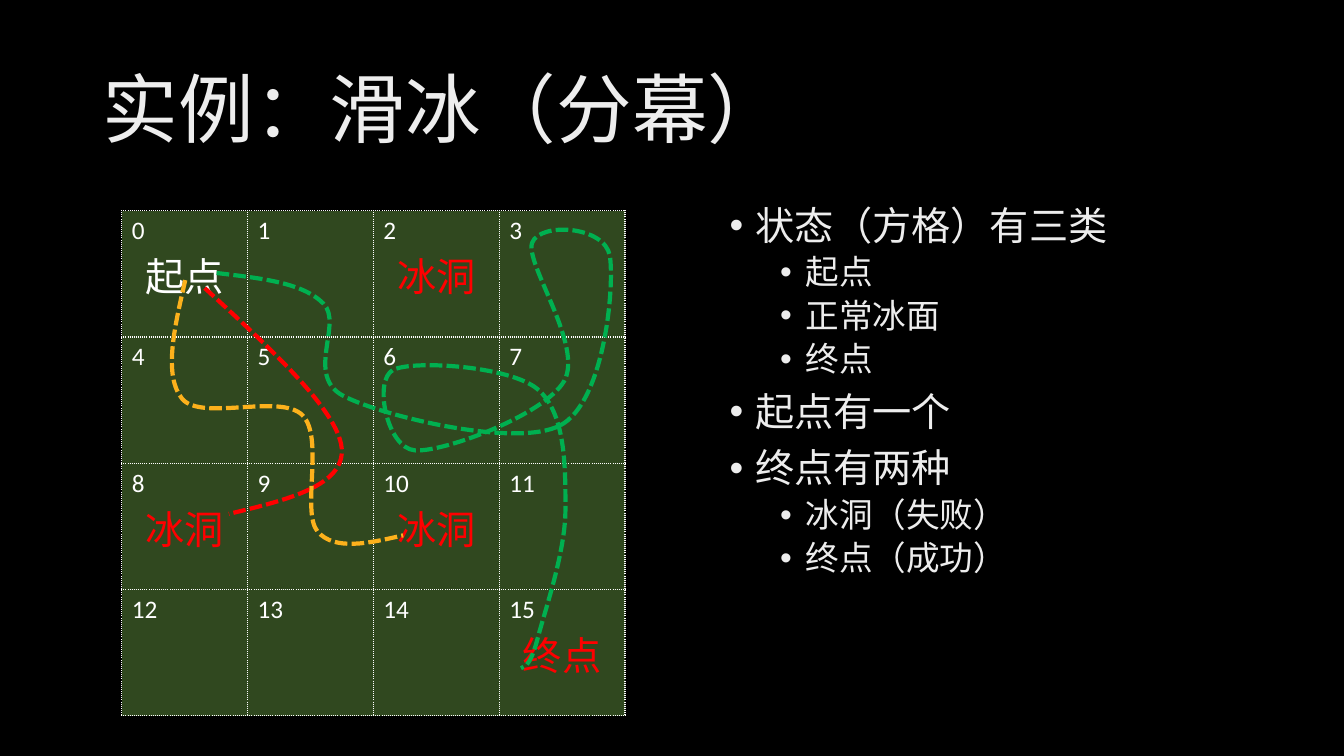
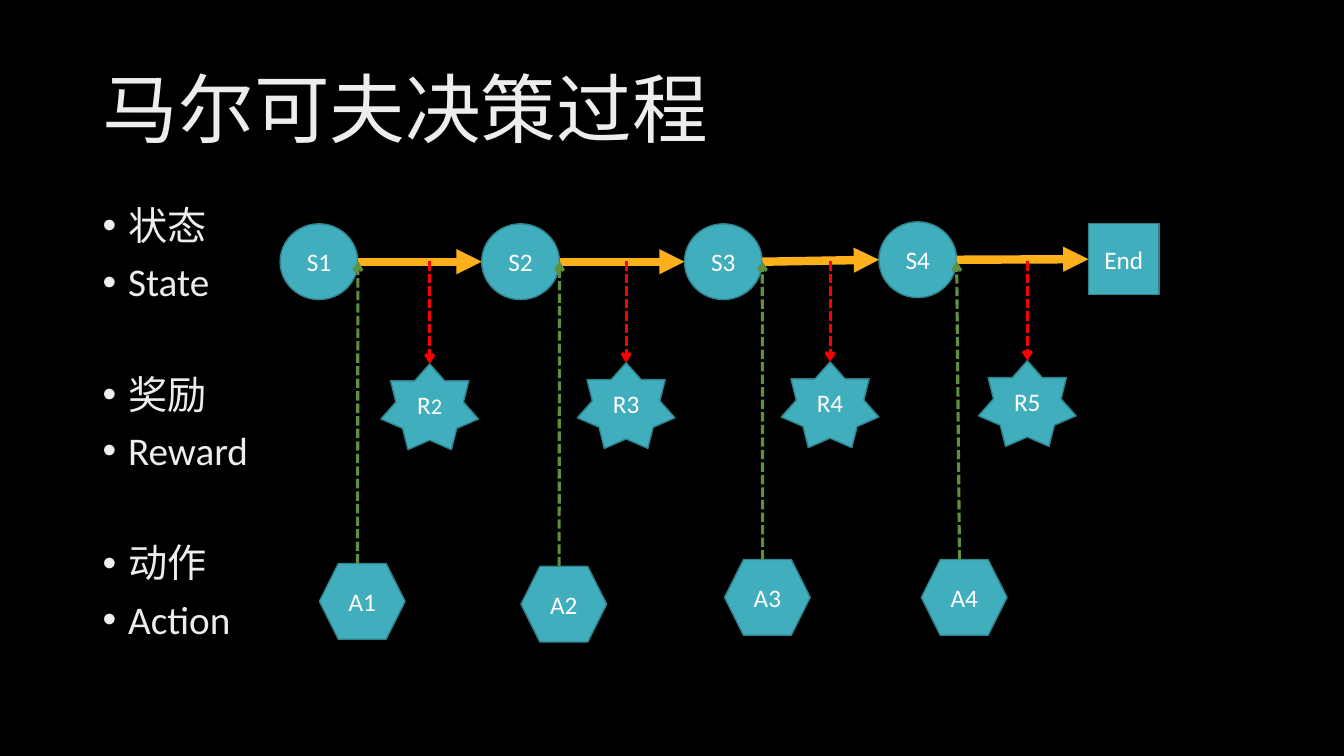
from lxml.etree import SubElement
from pptx import Presentation
from pptx.dml.color import RGBColor
from pptx.enum.dml import MSO_LINE
from pptx.enum.shapes import MSO_CONNECTOR, MSO_SHAPE
from pptx.enum.text import MSO_ANCHOR, MSO_AUTO_SIZE, PP_ALIGN
from pptx.oxml.ns import qn
from pptx.util import Cm, Pt

FONT = "Calibri"
COLORS = {
    "background": "000000",
    "text": "EDEDED",
    "white": "FFFFFF",
    "red": "FF0000",
    "orange": "FCB11C",
    "green": "00B050",
    "olive": "608F3D",
    "ice": "30481F",
    "node": "41AEBD",
    "node_line": "30818C",
}
TITLE_ONLY = 5
GRID_SIZE = 4
BULLET_SIZES = (28, 24)
BULLET_SPACES = (10, 5)
GROUP_SPACE = 50

LANDMARKS = {
    0: ("起点", "white"),
    2: ("冰洞", "red"),
    8: ("冰洞", "red"),
    10: ("冰洞", "red"),
    15: ("终点", "red"),
}

# Each route is a start point followed by triples of Bézier points, in cm.
ROUTES = {
    "red": [
        (5.16, 7.26),
        (6.83, 8.79), (8.51, 10.34), (8.61, 11.28),
        (8.71, 12.24), (7.24, 12.6), (5.77, 12.95),
    ],
    "orange": [
        (4.67, 7.06),
        (4.39, 8.28), (4.11, 9.47), (4.6, 10.06),
        (5.11, 10.62), (7.06, 9.91), (7.62, 10.46),
        (8.18, 11.02), (7.59, 12.88), (8, 13.39),
        (8.43, 13.89), (9.3, 13.69), (10.16, 13.49),
    ],
    "green": [
        (5.46, 6.88),
        (6.53, 7.01), (7.62, 7.11), (8.15, 7.65),
        (8.66, 8.15), (7.67, 9.47), (8.66, 9.98),
        (9.65, 10.49), (13, 11.3), (14.12, 10.72),
        (15.24, 10.13), (15.49, 7.21), (15.37, 6.45),
        (15.24, 5.69), (13.61, 5.59), (13.41, 6.12),
        (13.23, 6.65), (14.71, 8.71), (14.22, 9.6),
        (13.72, 10.46), (11.18, 11.4), (10.46, 11.35),
        (9.75, 11.3), (9.4, 9.58), (9.91, 9.32),
        (10.41, 9.07), (12.83, 9.22), (13.54, 9.8),
        (14.27, 10.41), (14.25, 11.81), (14.25, 12.85),
        (14.25, 13.89), (13.74, 15.37), (13.56, 16.05),
        (13.39, 16.71), (13.26, 16.79), (13.13, 16.84),
    ],
}

# Left and top of each node, in cm.
STATES = [(7.06, 5.64), (12.14, 5.64), (17.25, 5.64), (22.15, 5.59)]
REWARDS = [(9.6, 9.17), (14.55, 9.14), (19.69, 9.12), (24.66, 9.09)]
ACTIONS = [(8.05, 14.2), (13.13, 14.27), (18.26, 14.1), (23.22, 14.1)]
FLOW_Y = Cm(6.58)


def rgb(name):
    return RGBColor.from_string(COLORS[name])


def write(paragraph, text, *, size=18, color="white", align=PP_ALIGN.LEFT,
          line_spacing=None, space_before=None):
    """Append a run to the paragraph and format both."""
    paragraph.alignment = align
    if line_spacing is not None:
        paragraph.line_spacing = line_spacing
    if space_before is not None:
        paragraph.space_before = Pt(space_before)
    run = paragraph.add_run()
    run.text = text
    run.font.name = FONT
    run.font.size = Pt(size)
    run.font.color.rgb = rgb(color)


def add_titled_slide(presentation, title):
    slide = presentation.slides.add_slide(presentation.slide_layouts[TITLE_ONLY])
    shape = slide.shapes.title
    shape.left, shape.top = Cm(2.34), Cm(1.02)
    shape.width, shape.height = Cm(29.21), Cm(3.68)
    frame = shape.text_frame
    frame.auto_size = MSO_AUTO_SIZE.NONE
    frame.vertical_anchor = MSO_ANCHOR.MIDDLE
    write(frame.paragraphs[0], title, size=54, color="text", line_spacing=0.9)
    return slide


def set_bullet(paragraph, level):
    properties = paragraph._p.get_or_add_pPr()
    properties.set("marL", str(Cm(0.64 + 1.27 * level)))
    properties.set("indent", str(-Cm(0.64)))
    if level:
        properties.set("lvl", str(level))
    SubElement(properties, qn("a:buFont"), typeface="Arial")
    SubElement(properties, qn("a:buChar"), char="•")


def add_bullets(slide, left, width, groups, group_space=BULLET_SPACES[0]):
    """Add groups of (level, text) items, with group_space between groups."""
    box = slide.shapes.add_textbox(Cm(left), Cm(5.08), Cm(width), Cm(12.09))
    frame = box.text_frame
    frame.word_wrap = True
    paragraph = None
    for group in groups:
        for position, (level, text) in enumerate(group):
            if paragraph is None:
                paragraph, space = frame.paragraphs[0], 0
            else:
                paragraph = frame.add_paragraph()
                space = BULLET_SPACES[level] if position else group_space
            set_bullet(paragraph, level)
            write(paragraph, text, size=BULLET_SIZES[level], color="text",
                  line_spacing=0.9, space_before=space)


def set_dotted_borders(cell):
    properties = cell._tc.get_or_add_tcPr()
    for index, side in enumerate(("lnL", "lnR", "lnT", "lnB")):
        line = SubElement(properties, qn(f"a:{side}"), w=str(Pt(1)))
        fill = SubElement(line, qn("a:solidFill"))
        SubElement(fill, qn("a:srgbClr"), val=COLORS["white"])
        SubElement(line, qn("a:prstDash"), val="sysDot")
        properties.insert(index, line)


def add_ice_grid(slide):
    side = Cm(3.17)
    table = slide.shapes.add_table(
        GRID_SIZE, GRID_SIZE, Cm(3.07), Cm(5.31),
        side * GRID_SIZE, Cm(3.18) * GRID_SIZE).table
    table.first_row = table.horz_banding = False
    for number in range(GRID_SIZE ** 2):
        cell = table.cell(*divmod(number, GRID_SIZE))
        cell.fill.solid()
        cell.fill.fore_color.rgb = rgb("ice")
        set_dotted_borders(cell)
        frame = cell.text_frame
        write(frame.paragraphs[0], str(number))
        if number in LANDMARKS:
            label, color = LANDMARKS[number]
            write(frame.add_paragraph(), label, size=28, color=color,
                  align=PP_ALIGN.CENTER)


def add_route(slide, color, points):
    """Draw a dashed open curve through Bézier points."""
    start, *rest = [(Cm(x), Cm(y)) for x, y in points]
    builder = slide.shapes.build_freeform(*start)
    builder.add_line_segments(rest, close=False)
    shape = builder.convert_to_shape()
    shape.shadow.inherit = False
    shape.fill.background()
    shape.line.color.rgb = rgb(color)
    shape.line.width = Pt(3)
    shape.line.dash_style = MSO_LINE.SQUARE_DOT
    outline = next(shape._element.iter(qn("a:path")))
    segments = outline.findall(qn("a:lnTo"))
    for index in range(0, len(segments), 3):
        curve = SubElement(outline, qn("a:cubicBezTo"))
        for segment in segments[index:index + 3]:
            curve.append(segment[0])
            outline.remove(segment)


def add_node(slide, preset, position, size, label, suffix=""):
    """Add a labelled node; a suffix is set slightly smaller."""
    left, top = position
    width, height = size
    shape = slide.shapes.add_shape(
        preset, Cm(left), Cm(top), Cm(width), Cm(height))
    shape.shadow.inherit = False
    shape.fill.solid()
    shape.fill.fore_color.rgb = rgb("node")
    shape.line.color.rgb = rgb("node_line")
    shape.line.width = Pt(1)
    frame = shape.text_frame
    frame.vertical_anchor = MSO_ANCHOR.MIDDLE
    write(frame.paragraphs[0], label, align=PP_ALIGN.CENTER)
    if suffix:
        write(frame.paragraphs[0], suffix, size=16, align=PP_ALIGN.CENTER)
    return shape


def add_arrow(slide, start, end, color, *, width=2.25, dashed=True, head="arrow"):
    connector = slide.shapes.add_connector(MSO_CONNECTOR.STRAIGHT, *start, *end)
    SubElement(connector._element.spPr, qn("a:effectLst"))
    line = connector.line
    line.color.rgb = rgb(color)
    line.width = Pt(width)
    if dashed:
        line.dash_style = MSO_LINE.SQUARE_DOT
    SubElement(line._get_or_add_ln(), qn("a:tailEnd"), type=head)


def middle_y(shape):
    return shape.top + shape.height // 2


def add_skating_slide(presentation):
    slide = add_titled_slide(presentation, "实例：滑冰（分幕）")
    add_bullets(slide, 18.14, 13.41, [
        [(0, "状态（方格）有三类"), (1, "起点"), (1, "正常冰面"), (1, "终点")],
        [(0, "起点有一个")],
        [(0, "终点有两种"), (1, "冰洞（失败）"), (1, "终点（成功）")],
    ])
    add_ice_grid(slide)
    for color, points in ROUTES.items():
        add_route(slide, color, points)


def add_decision_slide(presentation):
    slide = add_titled_slide(presentation, "马尔可夫决策过程")
    add_bullets(slide, 2.34, 4.29, [
        [(0, "状态"), (0, "State")],
        [(0, "奖励"), (0, "Reward")],
        [(0, "动作"), (0, "Action")],
    ], group_space=GROUP_SPACE)

    states = [
        add_node(slide, MSO_SHAPE.FLOWCHART_CONNECTOR, position, (1.96, 1.91), f"S{number}")
        for number, position in enumerate(STATES, 1)
    ]
    end = add_node(slide, MSO_SHAPE.RECTANGLE, (27.43, 5.64), (1.78, 1.78), "End")
    for state, following in zip(states, states[1:] + [end]):
        add_arrow(slide, (state.left + state.width, middle_y(state)),
                  (following.left, middle_y(following)), "orange",
                  width=6, dashed=False, head="triangle")

    for number, position in enumerate(REWARDS, 2):
        label = ("R", "2") if number == 2 else (f"R{number}",)
        reward = add_node(slide, MSO_SHAPE.STAR_7_POINT, position, (2.46, 2.16), *label)
        center = reward.left + reward.width // 2
        add_arrow(slide, (center, FLOW_Y), (center, reward.top), "red")

    for number, (state, position) in enumerate(zip(states, ACTIONS), 1):
        action = add_node(slide, MSO_SHAPE.HEXAGON, position, (2.16, 1.91), f"A{number}")
        add_arrow(slide, (action.left + Cm(0.96), action.top),
                  (state.left + state.width, FLOW_Y), "olive")


def main():
    presentation = Presentation()
    presentation.slide_width, presentation.slide_height = Cm(33.87), Cm(19.05)
    background = presentation.slide_master.background.fill
    background.solid()
    background.fore_color.rgb = rgb("background")
    add_skating_slide(presentation)
    add_decision_slide(presentation)
    presentation.save("out.pptx")


if __name__ == "__main__":
    main()
